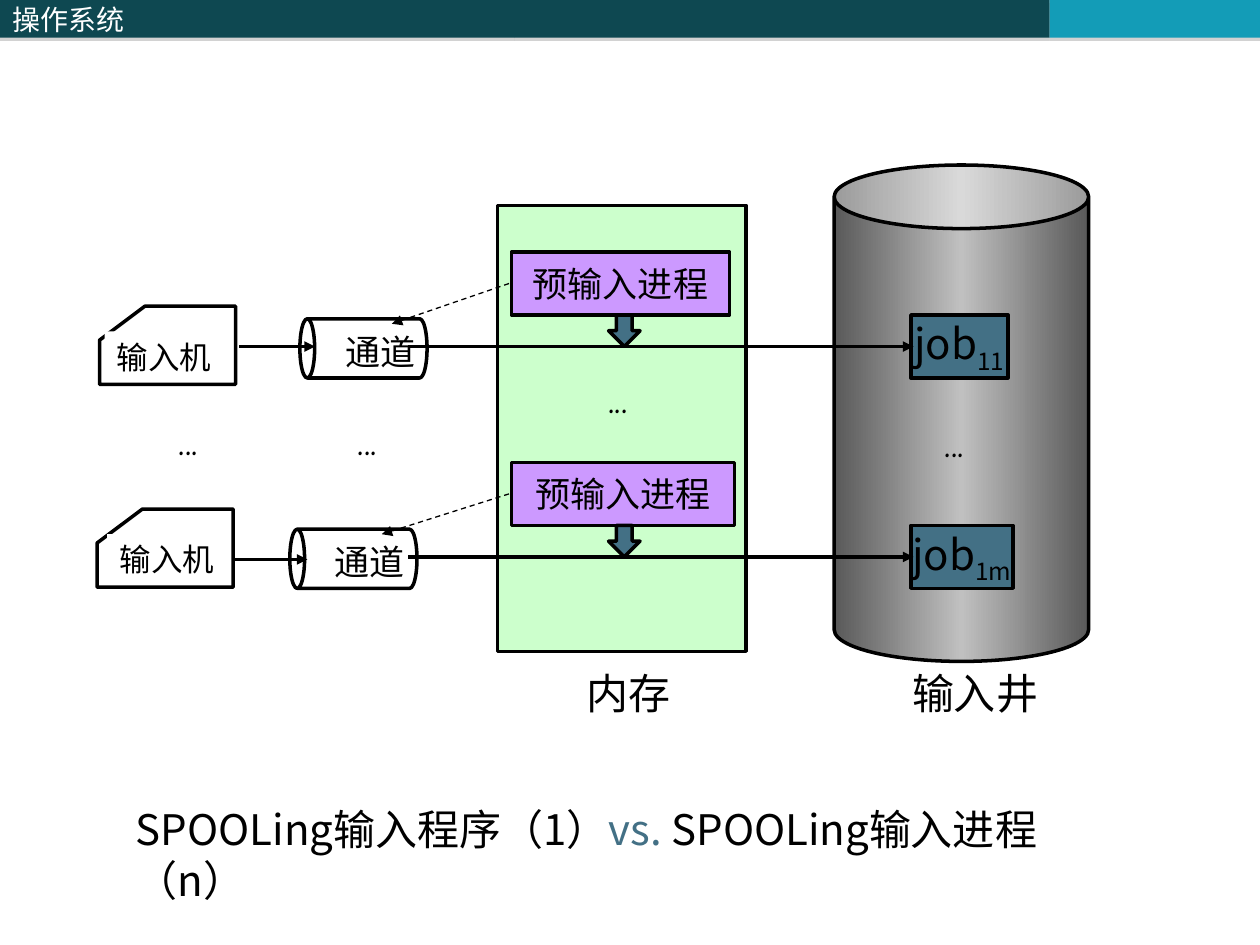
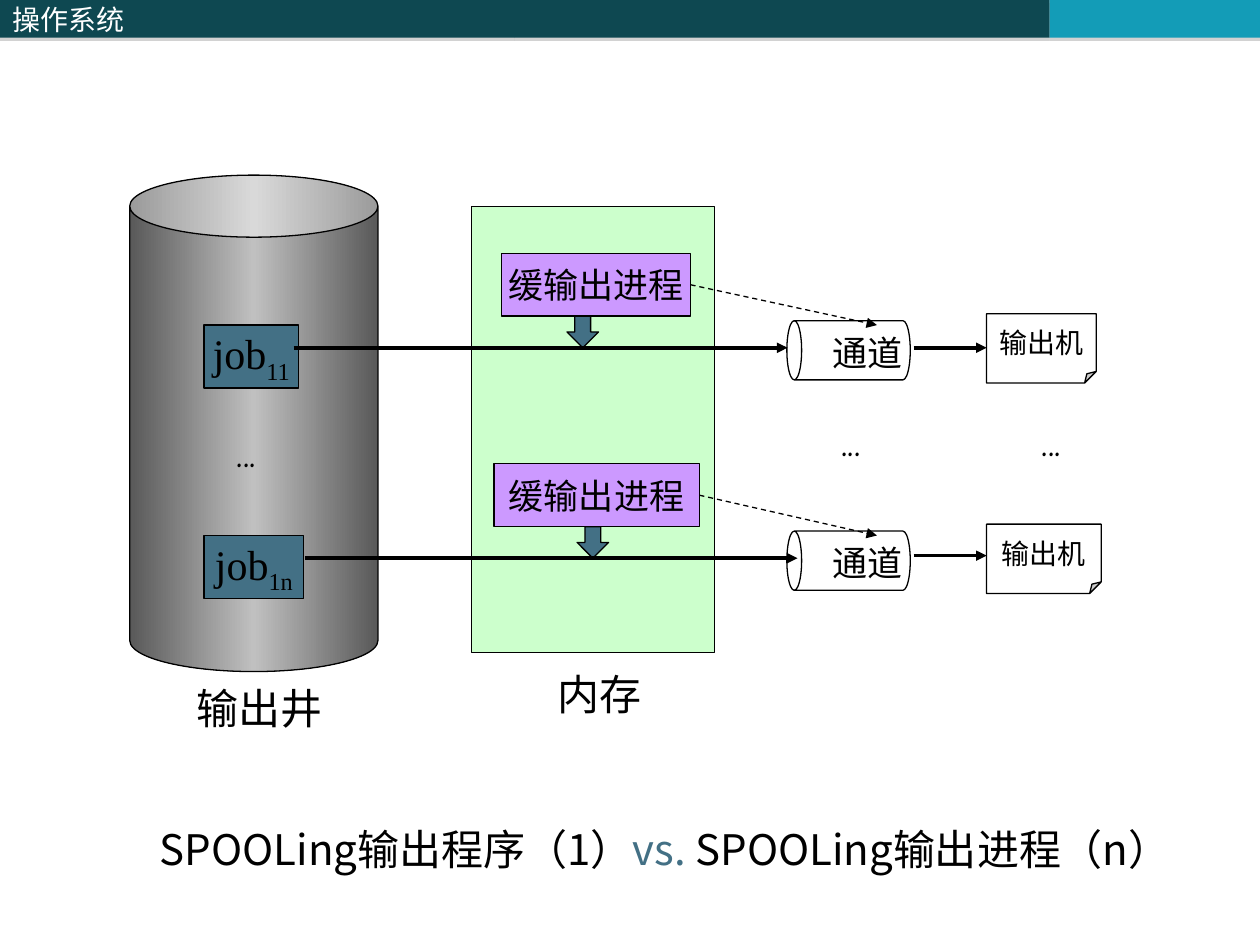
from copy import deepcopy
from dataclasses import dataclass

from lxml import etree
from pptx import Presentation
from pptx.dml.color import RGBColor
from pptx.enum.dml import MSO_LINE
from pptx.enum.shapes import MSO_CONNECTOR, MSO_SHAPE
from pptx.enum.text import MSO_ANCHOR, MSO_AUTO_SIZE, PP_ALIGN
from pptx.oxml.ns import qn
from pptx.util import Pt

PX = 9144  # EMU in one px, 100 px to the inch
RECT, CAN = MSO_SHAPE.RECTANGLE, MSO_SHAPE.CAN
DOWN_ARROW, PAPER = MSO_SHAPE.DOWN_ARROW, MSO_SHAPE.FOLDED_CORNER
STRAIGHT = MSO_CONNECTOR.STRAIGHT
DASH = MSO_LINE.DASH
MIDDLE, TOP = MSO_ANCHOR.MIDDLE, MSO_ANCHOR.TOP
LEFT, CENTER = PP_ALIGN.LEFT, PP_ALIGN.CENTER
GROW = MSO_AUTO_SIZE.SHAPE_TO_FIT_TEXT
ROW_STEP = 167


@dataclass(frozen=True)
class Theme:
    sans: str = "Noto Sans CJK SC"
    serif: str = "Times New Roman"
    comic: str = "Comic Neue"
    ink: str = "000000"
    paper: str = "FFFFFF"
    band: str = "0E4851"
    band_end: str = "139CB7"
    band_shadow: str = "808080"
    job: str = "437085"
    memory: str = "CCFFCC"
    process: str = "CC99FF"
    well: tuple = (("595959", 0), ("C0C0C0", 0.5), ("595959", 1))
    large: int = 24
    medium: int = 20
    device: int = 18
    small: int = 16
    flow: float = 2
    thin: float = 0.75


class Deck:
    def __init__(self, theme, width, height):
        self.theme = theme
        self.prs = Presentation()
        self.prs.slide_width, self.prs.slide_height = width * PX, height * PX
        self.shapes = None
        self.outline = theme.flow

    def new_slide(self, outline):
        t = self.theme
        self.shapes = self.prs.slides.add_slide(self.prs.slide_layouts[6]).shapes
        self.outline = outline
        for x, w, color in ((0, 408, t.band), (408, 425, t.band), (833, 167, t.band_end)):
            sp = self.shape(RECT, x, 0, w, 30, color, outlined=False)
            self.drop_shadow(sp)
            if x == 0:
                self.set_text(sp, "操作系统", t.small, color=t.paper)

    def drop_shadow(self, sp):
        effects = sp.element.spPr.find(qn("a:effectLst"))
        shadow = etree.SubElement(effects, qn("a:outerShdw"), dist=str(Pt(1.8)),
                                  dir="5400000", rotWithShape="0")
        color = etree.SubElement(shadow, qn("a:srgbClr"), val=self.theme.band_shadow)
        etree.SubElement(color, qn("a:alpha"), val="35000")

    def paint(self, sp, fill, outlined=True):
        sp.shadow.inherit = False
        if fill:
            sp.fill.solid()
            sp.fill.fore_color.rgb = RGBColor.from_string(fill)
        else:
            sp.fill.background()
        if outlined:
            sp.line.color.rgb = RGBColor.from_string(self.theme.ink)
            sp.line.width = Pt(self.outline)
        else:
            sp.line.fill.background()

    def shape(self, kind, x, y, w, h, fill=None, outlined=True):
        sp = self.shapes.add_shape(kind, x * PX, y * PX, w * PX, h * PX)
        self.paint(sp, fill, outlined)
        return sp

    def set_text(self, sp, text, size, font=None, color=None, align=LEFT,
                 anchor=MIDDLE, wrap=True):
        """Text is a string, or a list of (string, colour, baseline) runs."""
        t = self.theme
        tf = sp.text_frame
        tf.word_wrap = wrap
        tf.vertical_anchor = anchor
        p = tf.paragraphs[0]
        p.alignment = align
        p.font.size = Pt(size)
        p.font.name = font or t.sans
        p.font.color.rgb = RGBColor.from_string(color or t.ink)
        defaults = p._p.pPr.find(qn("a:defRPr"))
        etree.SubElement(defaults, qn("a:ea"), typeface=t.sans)
        runs = [(text, None, None)] if isinstance(text, str) else text
        for content, run_color, baseline in runs:
            r = p.add_run()
            r.text = content
            if run_color:
                r.font.color.rgb = RGBColor.from_string(run_color)
            if baseline:
                r._r.get_or_add_rPr().set("baseline", str(baseline))

    def text(self, x, y, w, h, text, size, font=None):
        sp = self.shapes.add_textbox(x * PX, y * PX, w * PX, h * PX)
        self.set_text(sp, text, size, font, anchor=TOP)
        sp.text_frame.auto_size = GROW

    def heading(self, x, y, w, text):
        self.text(x, y, w, 50, text, self.theme.large)

    def dots(self, x, y, w):
        self.text(x, y, w, 50, "...", self.theme.large, self.theme.comic)

    def box(self, kind, x, y, w, h, fill, text, size, font=None):
        sp = self.shape(kind, x, y, w, h, fill)
        self.set_text(sp, text, size, font, align=CENTER, wrap=False)

    def arrow(self, x1, y1, x2, y2, dashed=False):
        t = self.theme
        line = self.shapes.add_connector(STRAIGHT, x1 * PX, y1 * PX, x2 * PX, y2 * PX)
        line.line.color.rgb = RGBColor.from_string(t.ink)
        line.line.width = Pt(t.thin if dashed else t.flow)
        if dashed:
            line.line.dash_style = DASH
        spPr = line._element.spPr
        etree.SubElement(spPr.find(qn("a:ln")), qn("a:tailEnd"), type="triangle")
        etree.SubElement(spPr, qn("a:effectLst"))

    def well(self, x, y, w, h):
        sp = self.shape(CAN, x, y, w, h)
        sp.fill.gradient()
        sp.fill.gradient_angle = 0
        stops = sp.element.spPr.find(".//" + qn("a:gsLst"))
        stops.append(deepcopy(stops[0]))
        for stop, (color, position) in zip(sp.fill.gradient_stops, self.theme.well):
            stop.color.rgb = RGBColor.from_string(color)
            stop.position = position

    def job(self, x, y, w, index, font):
        runs = [("job", None, None), (index, None, -25000)]
        self.box(RECT, x, y, w, 50, self.theme.job, runs, self.theme.large, font)

    def process(self, x, y, w, name, arrow_x):
        """Process box with the block arrow that drives the flow below it."""
        t = self.theme
        self.box(RECT, x, y, w, 50, t.process, name, t.medium)
        self.shape(DOWN_ARROW, arrow_x, y + 50, 25, 25, t.job)

    def channel(self, x, y, length):
        """Lying cylinder whose visible left edge is x."""
        h = 47
        sp = self.shape(CAN, x + (length - h) // 2, y - (length - h) // 2, h, length)
        sp.rotation = 270
        self.text(x + 26, y + 4, 93, 44, "通道", self.theme.medium)

    def card_reader(self, x, y, label_x):
        t = self.theme
        outline = [(36, 0), (108, 0), (108, 62), (0, 62), (0, 27)]
        points = [((x + dx) * PX, (y + dy) * PX) for dx, dy in outline]
        builder = self.shapes.build_freeform(*points[0])
        builder.add_line_segments(points[1:], close=True)
        self.paint(builder.convert_to_shape(), t.paper)
        label = self.shape(RECT, label_x, y + 20, 98, 40, t.paper, outlined=False)
        self.set_text(label, "输入机", t.device, anchor=TOP)
        label.text_frame.auto_size = GROW

    def caption(self, x, y, w, single, multiple):
        t = self.theme
        runs = [(f"SPOOLing{single}", None, None), ("vs.", t.job, None),
                (f" SPOOLing{multiple}", None, None)]
        self.text(x, y, w, 90, runs, t.large)


def input_slide(deck):
    t = deck.theme
    deck.new_slide(outline=t.flow)
    deck.well(662, 131, 202, 394)
    deck.shape(RECT, 395, 163, 197, 354, t.memory)
    rows = (  # reader, label, reader arrow, channel, job width, job, process width
        (79, 83, 190, 238, 77, "11", 173),
        (77, 85, 184, 230, 81, "1m", 177),
    )
    for i, (reader, label, feed, channel, job_w, index, process_w) in enumerate(rows):
        y = 250 + i * ROW_STEP
        deck.job(723, y, job_w, index, t.sans)
        deck.process(406, y - 50, process_w, "预输入进程", 483)
        deck.card_reader(reader, y - 7 - 6 * i, label)
        deck.channel(channel, y + 3, 101)
        deck.arrow(feed, y + 25 + 2 * i, feed + 60, y + 25 + 2 * i)
        deck.arrow(324, y + 25, 725, y + 25)
        deck.arrow(404, y - 25, channel + 73, y + 7, dashed=True)
    for x, y, w in ((132, 323, 51), (274, 323, 51), (473, 290, 68), (740, 325, 60)):
        deck.dots(x, y, w)
    deck.heading(714, 525, 136, "输入井")
    deck.heading(456, 525, 102, "内存")
    deck.caption(98, 633, 793, "输入程序（1）", "输入进程（n）")


def output_slide(deck):
    t = deck.theme
    deck.new_slide(outline=t.thin)
    deck.well(103, 139, 197, 394)
    deck.shape(RECT, 374, 164, 193, 354, t.memory)
    rows = (  # job width, job, process, process width, block arrow, flow ends, printer width
        (75, "11", 398, 150, 450, (233, 625), 87),
        (79, "1n", 392, 163, 458, (242, 633), 91),
    )
    for i, (job_w, index, process, process_w, block, flow, printer_w) in enumerate(rows):
        y = 251 + i * ROW_STEP
        deck.job(162, y + 7, job_w, index, t.serif)
        deck.process(process, y - 50, process_w, "缓输出进程", block)
        deck.channel(625, y + 3, 98)
        deck.box(PAPER, 783, y - 2, printer_w, 55, t.paper, "输出机", t.small)
        deck.arrow(flow[0], y + 25, flow[1], y + 25)
        deck.arrow(725, y + 25 - 2 * i, 783, y + 25 - 2 * i)
        deck.arrow(process + process_w, y - 25, 696, y + 7, dashed=True)
    for x, y, w in ((658, 324, 50), (817, 324, 50), (178, 333, 58)):
        deck.dots(x, y, w)
    deck.heading(146, 537, 133, "输出井")
    deck.heading(433, 526, 100, "内存")
    deck.caption(117, 649, 852, "输出程序（1）", "输出进程（n）")


def main():
    deck = Deck(Theme(), 1000, 750)
    input_slide(deck)
    output_slide(deck)
    deck.prs.save("out.pptx")


if __name__ == "__main__":
    main()
